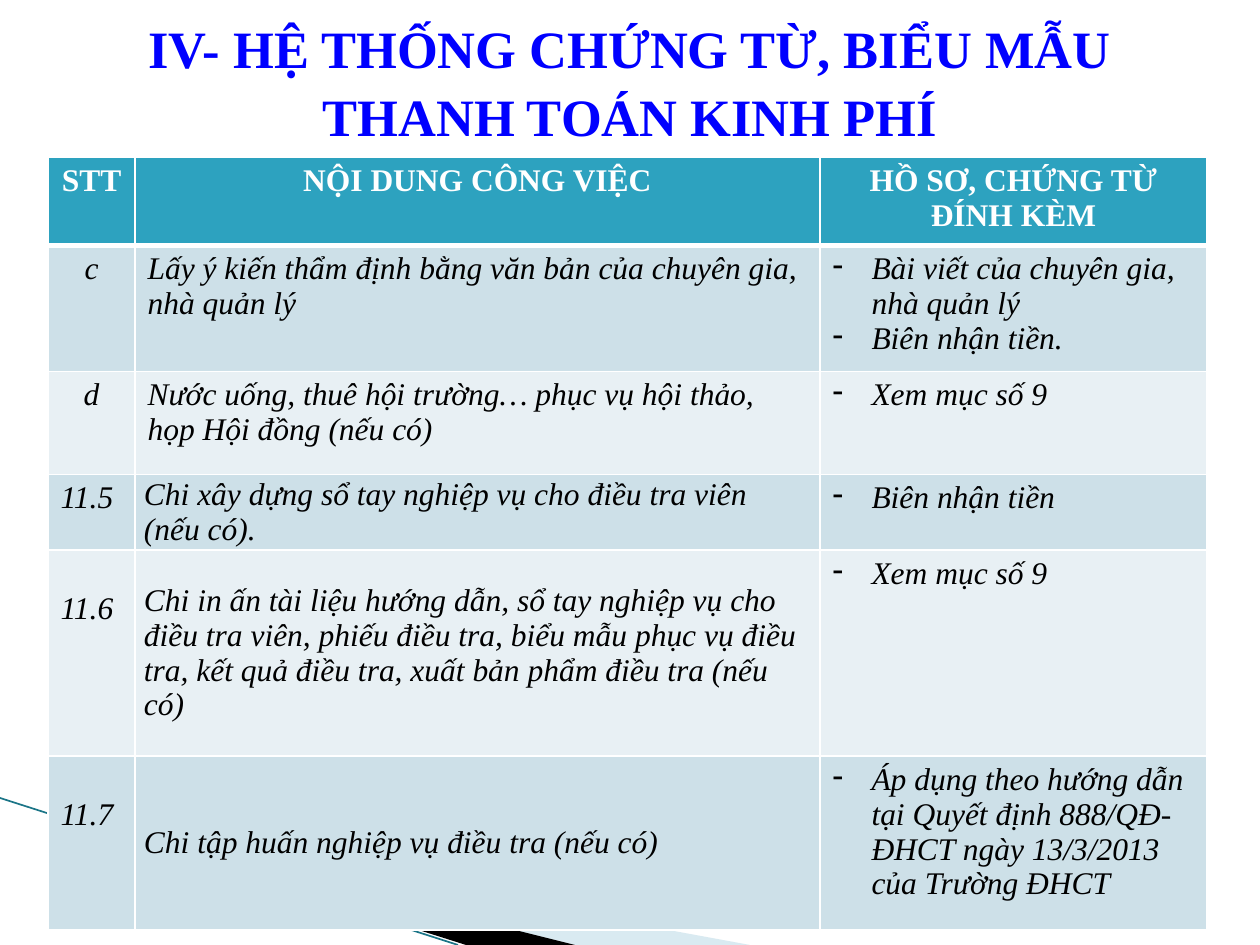
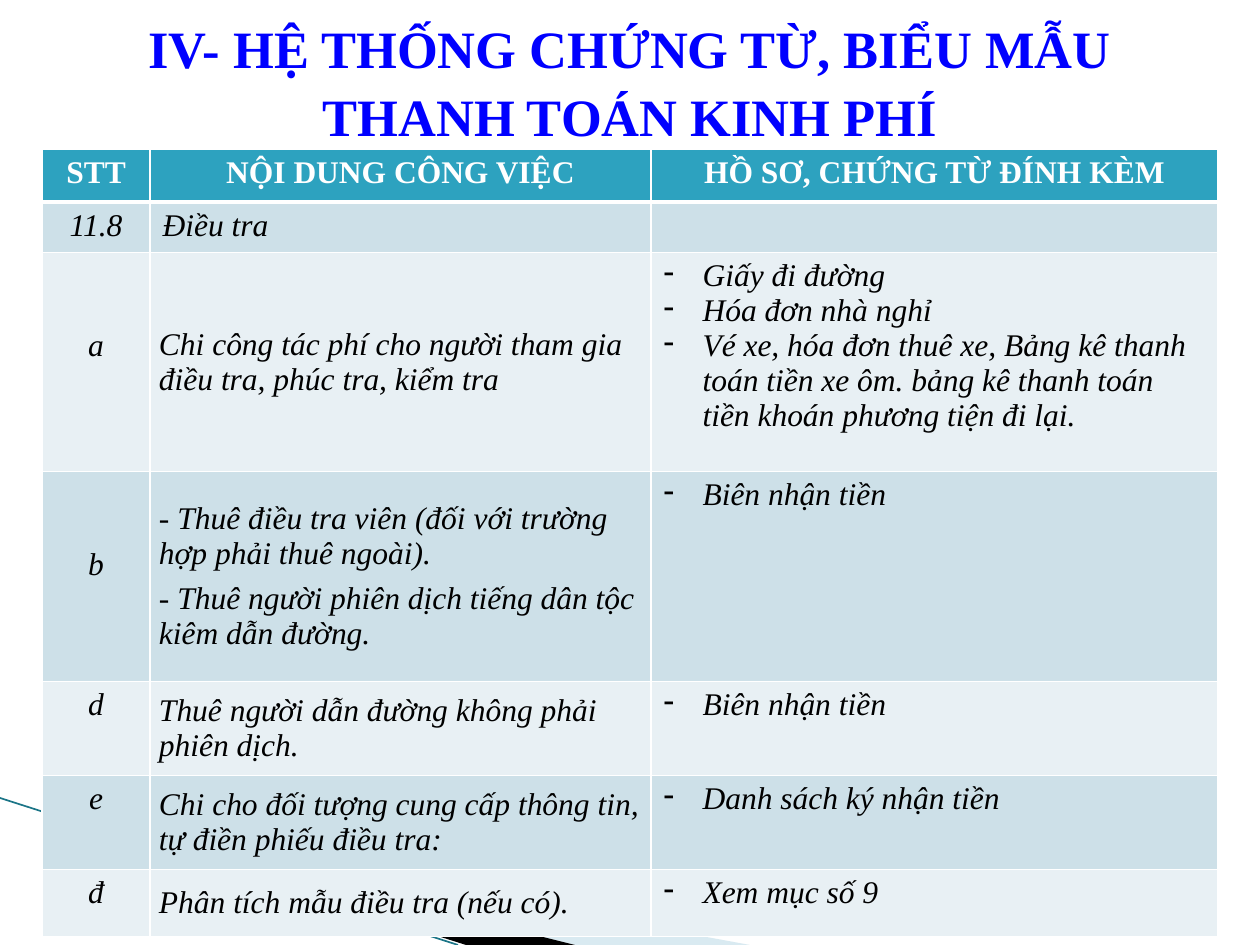
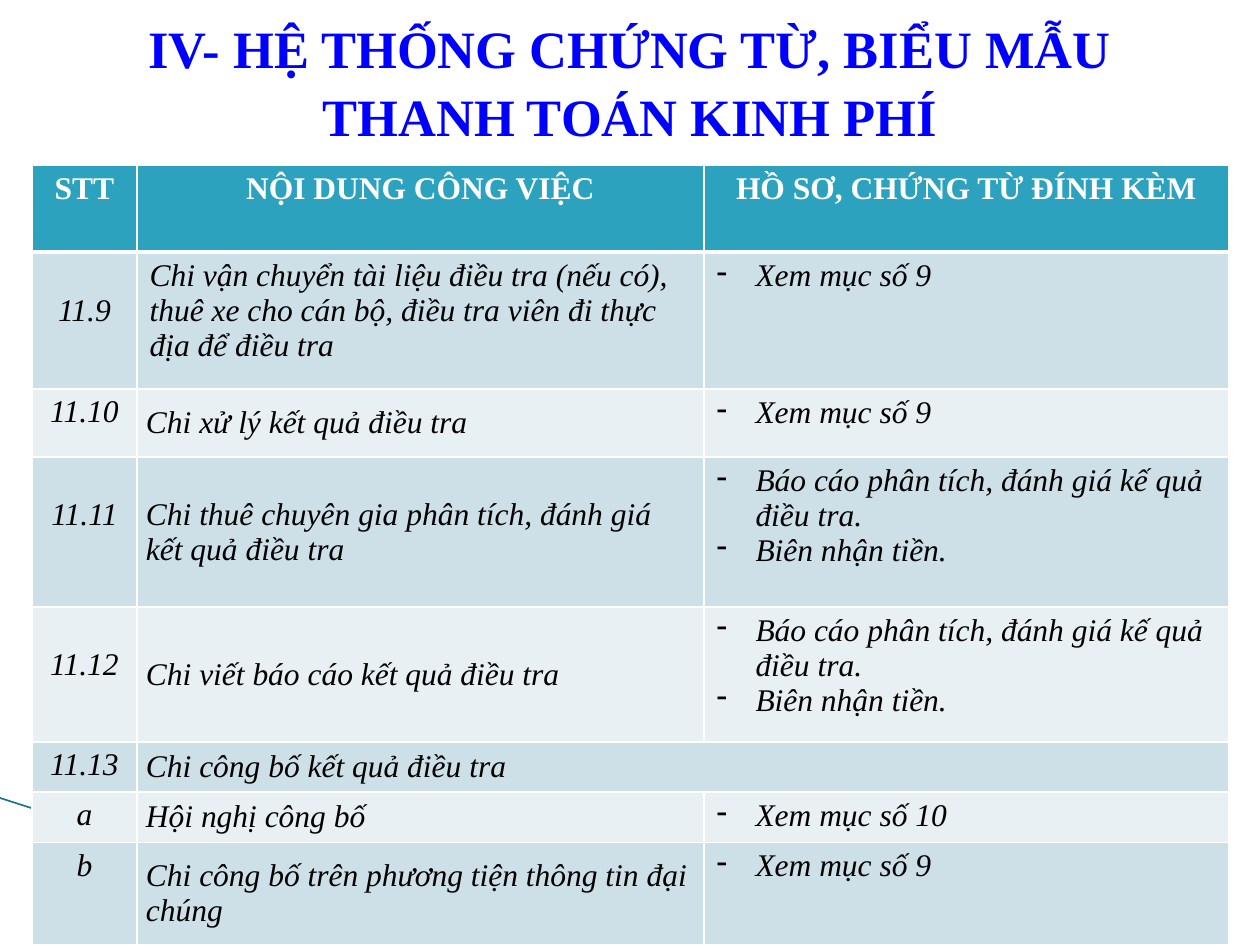
from dataclasses import dataclass
from typing import Any

from lxml.etree import SubElement
from pptx import Presentation
from pptx.dml.color import RGBColor
from pptx.enum.shapes import MSO_CONNECTOR
from pptx.enum.text import MSO_ANCHOR, PP_ALIGN
from pptx.oxml.ns import qn
from pptx.util import Emu, Pt

PIXEL = 914400 // 126
SLIDE_WIDTH, SLIDE_HEIGHT = 1260, 945
FONT = "Times New Roman"
WHITE, BLACK = "FFFFFF", "000000"
TITLE_BLUE, HEADER_TEAL, LINE_TEAL, PALE_BLUE = "0000FF", "2DA2BF", "1B7587", "A0CBDC"
BANDS = ("CDE0E8", "E8F0F4")

TITLE = "IV- HỆ THỐNG CHỨNG TỪ, BIỂU MẪU THANH TOÁN KINH PHÍ"
HEADINGS = ("STT", "NỘI DUNG CÔNG VIỆC", "HỒ SƠ, CHỨNG TỪ ĐÍNH KÈM")
SECTION_9 = ("Xem mục số 9",)
RECEIPT = ("Biên nhận tiền",)
REPORT = ("Báo cáo phân tích, đánh giá kế quả điều tra.", "Biên nhận tiền.")

TITLE_FONT = {"name": FONT, "size": Pt(30), "bold": True}
HEADER_FONT = {"name": FONT, "size": Pt(18), "bold": True}
BODY_FONT = {"name": FONT, "size": Pt(18), "bold": False, "italic": True}
CENTERED = {"alignment": PP_ALIGN.CENTER}
LEFT = {"alignment": PP_ALIGN.LEFT}
SPACED = {"alignment": PP_ALIGN.LEFT, "space_before": Pt(6)}

LINE_PITCH = 35
BULLET_INDENT = 39
CELL_TOP = 6


def px(pixels: int) -> Emu:
    """Turn picture pixels into EMU."""
    return Emu(pixels * PIXEL)


TASK_CELL = {
    "vertical_anchor": MSO_ANCHOR.MIDDLE,
    "margin_left": px(9),
    "margin_right": px(9),
    "margin_top": 0,
    "margin_bottom": 0,
}


@dataclass(frozen=True)
class Row:
    """One body row: number, task and the documents it needs."""

    height: int
    number: str
    tasks: tuple[str, ...]
    documents: tuple[str, ...] = ()
    lines_above: int = 0
    number_format: Any = None
    compact: bool = True
    merged: bool = False


@dataclass(frozen=True)
class TableSpec:
    """Place, column widths and rows of one slide's table."""

    left: int
    top: int
    columns: tuple[int, ...]
    header_height: int
    rows: tuple[Row, ...]


@dataclass(frozen=True)
class Wedge:
    """A filled corner stripe."""

    points: tuple[tuple[int, int], ...]
    color: str
    opacity: int = 100


WEDGES = (
    Wedge(((69, 820), (750, 945), (575, 945), (69, 819)), PALE_BLUE, 40),
    Wedge(((67, 818), (575, 945), (466, 945), (68, 819)), BLACK),
)

TABLES = (
    TableSpec(48, 157, (87, 685, 387), 55, (
        Row(103, "c", ("Lấy ý kiến thẩm định bằng văn bản của chuyên gia, nhà quản lý",),
            ("Bài viết của chuyên gia, nhà quản lý", "Biên nhận tiền."), compact=False),
        Row(103, "d", ("Nước uống, thuê hội trường… phục vụ hội thảo, họp Hội đồng (nếu có)",),
            SECTION_9, compact=False),
        Row(71, "11.5", ("Chi xây dựng sổ tay nghiệp vụ cho điều tra viên (nếu có).",),
            RECEIPT, number_format=LEFT),
        Row(206, "11.6", ("Chi in ấn tài liệu hướng dẫn, sổ tay nghiệp vụ cho điều tra viên, "
                          "phiếu điều tra, biểu mẫu phục vụ điều tra, kết quả điều tra, "
                          "xuất bản phẩm điều tra (nếu có)",),
            SECTION_9, 1, LEFT),
        Row(174, "11.7", ("Chi tập huấn nghiệp vụ điều tra (nếu có)",),
            ("Áp dụng theo hướng dẫn tại Quyết định 888/QĐ-ĐHCT ngày 13/3/2013 "
             "của Trường ĐHCT",), 1, LEFT),
    )),
    TableSpec(42, 149, (108, 501, 567), 53, (
        Row(44, "11.8", ("Điều tra",), compact=False),
        Row(219, "a", ("Chi công tác phí cho người tham gia điều tra, phúc tra, kiểm tra",),
            ("Giấy đi đường", "Hóa đơn nhà nghỉ",
             "Vé xe, hóa đơn thuê xe, Bảng kê thanh toán tiền xe ôm. "
             "bảng kê thanh toán tiền khoán phương tiện đi lại."), 2),
        Row(210, "b", ("- Thuê điều tra viên (đối với trường hợp phải thuê ngoài).",
                       "- Thuê người phiên dịch tiếng dân tộc kiêm dẫn đường."), RECEIPT, 2),
        Row(94, "d", ("Thuê người dẫn đường không phải phiên dịch.",), RECEIPT),
        Row(94, "e", ("Chi cho đối tượng cung cấp thông tin, tự điền phiếu điều tra:",),
            ("Danh sách ký nhận tiền",)),
        Row(67, "đ", ("Phân tích mẫu điều tra (nếu có).",), SECTION_9),
    )),
    TableSpec(32, 165, (105, 567, 525), 87, (
        Row(137, "11.9", ("Chi vận chuyển tài liệu điều tra (nếu có), thuê xe cho cán bộ, "
                          "điều tra viên đi thực địa để điều tra",),
            SECTION_9, 1, compact=False),
        Row(68, "11.10", ("Chi xử lý kết quả điều tra",), SECTION_9),
        Row(150, "11.11", ("Chi thuê chuyên gia phân tích, đánh giá kết quả điều tra",),
            REPORT, 1),
        Row(135, "11.12", ("Chi viết báo cáo kết quả điều tra",), REPORT, 1),
        Row(49, "11.13", ("Chi công bố kết quả điều tra",), merged=True),
        Row(49, "a", ("Hội nghị công bố",), ("Xem mục số 10",)),
        Row(102, "b", ("Chi công bố trên phương tiện thông tin đại chúng",), SECTION_9),
    )),
)


def rgb(color: str) -> RGBColor:
    """Read a hex colour."""
    return RGBColor.from_string(color)


def set_format(target: Any, values: dict[str, Any]) -> None:
    """Set each named attribute on the target."""
    for name, value in values.items():
        setattr(target, name, value)


def write(frame: Any, texts: tuple[str, ...], font: dict[str, Any], color: str,
          paragraph_format: dict[str, Any], bulleted: bool = False) -> None:
    """Write one formatted paragraph for each text."""
    for index, text in enumerate(texts):
        paragraph = frame.add_paragraph() if index else frame.paragraphs[0]
        set_format(paragraph, paragraph_format)
        run = paragraph.add_run()
        run.text = text
        set_format(run.font, font)
        run.font.color.rgb = rgb(color)
        if bulleted:
            add_dash(paragraph)


def add_dash(paragraph: Any) -> None:
    """Give a paragraph a hanging dash bullet."""
    properties = paragraph._p.get_or_add_pPr()
    properties.set("marL", str(px(BULLET_INDENT)))
    properties.set("indent", str(px(-BULLET_INDENT)))
    SubElement(properties, qn("a:buFontTx"))
    SubElement(properties, qn("a:buChar"), char="-")


def style_cell(cell: Any, color: str, top: int = 1, bottom: int = 1) -> None:
    """Draw white borders, in points, and fill the cell."""
    properties = cell._tc.get_or_add_tcPr()
    for side, width in (("L", 1), ("R", 1), ("T", top), ("B", bottom)):
        border = SubElement(properties, qn(f"a:ln{side}"), w=str(Pt(width)))
        fill = SubElement(border, qn("a:solidFill"))
        SubElement(fill, qn("a:srgbClr"), val=WHITE)
    cell.fill.solid()
    cell.fill.fore_color.rgb = rgb(color)


def add_corner(slide: Any) -> None:
    """Draw the stripes and the line in the lower left corner."""
    for wedge in WEDGES:
        builder = slide.shapes.build_freeform(*wedge.points[0], scale=PIXEL)
        builder.add_line_segments(wedge.points[1:], close=True)
        shape = builder.convert_to_shape()
        shape.shadow.inherit = False
        shape.line.fill.background()
        shape.fill.solid()
        shape.fill.fore_color.rgb = rgb(wedge.color)
        if wedge.opacity < 100:
            tone = shape._element.spPr.find(qn("a:solidFill"))[0]
            SubElement(tone, qn("a:alpha"), val=str(wedge.opacity * 1000))
    line = slide.shapes.add_connector(
        MSO_CONNECTOR.STRAIGHT, px(0), px(798), px(458), px(SLIDE_HEIGHT))
    line.line.color.rgb = rgb(LINE_TEAL)
    line.line.width = Pt(0.95)
    SubElement(line._element.spPr, qn("a:effectLst"))


def add_title(slide: Any) -> None:
    """Write the shared heading across the top."""
    frame = slide.shapes.add_textbox(px(63), px(0), px(1134), px(157)).text_frame
    set_format(frame, {"word_wrap": True, "vertical_anchor": MSO_ANCHOR.MIDDLE})
    write(frame, (TITLE,), TITLE_FONT, TITLE_BLUE, {**CENTERED, "line_spacing": 1.08})


def fill_row(cells: list[Any], row: Row) -> None:
    """Write the number, the task and the documents of a row."""
    number, task, documents = cells
    number.margin_top = px(CELL_TOP + row.lines_above * LINE_PITCH)
    write(number.text_frame, (row.number,), BODY_FONT, BLACK, row.number_format or CENTERED)
    if row.compact:
        set_format(task, TASK_CELL)
    write(task.text_frame, row.tasks, BODY_FONT, BLACK, SPACED if row.compact else LEFT)
    if row.merged:
        task.merge(documents)
    else:
        write(documents.text_frame, row.documents, BODY_FONT, BLACK, LEFT, bulleted=True)


def add_work_table(slide: Any, spec: TableSpec) -> None:
    """Build the table of tasks and supporting documents."""
    heights = (spec.header_height, *(row.height for row in spec.rows))
    table = slide.shapes.add_table(
        len(heights), len(spec.columns), px(spec.left), px(spec.top),
        px(sum(spec.columns)), px(sum(heights))).table
    table.horz_banding = False
    for column, width in zip(table.columns, spec.columns):
        column.width = px(width)
    for table_row, height in zip(table.rows, heights):
        table_row.height = px(height)
    for cell, heading in zip(table.rows[0].cells, HEADINGS):
        style_cell(cell, HEADER_TEAL, bottom=3)
        write(cell.text_frame, (heading,), HEADER_FONT, WHITE, CENTERED)
    for index, row in enumerate(spec.rows):
        cells = list(table.rows[index + 1].cells)
        for cell in cells:
            style_cell(cell, BANDS[index % 2], top=1 if index else 3)
        fill_row(cells, row)


def main() -> None:
    """Build and save the presentation."""
    presentation = Presentation()
    set_format(presentation, {"slide_width": px(SLIDE_WIDTH), "slide_height": px(SLIDE_HEIGHT)})
    for spec in TABLES:
        slide = presentation.slides.add_slide(presentation.slide_layouts[6])
        add_corner(slide)
        add_title(slide)
        add_work_table(slide, spec)
    presentation.save("out.pptx")


main()
